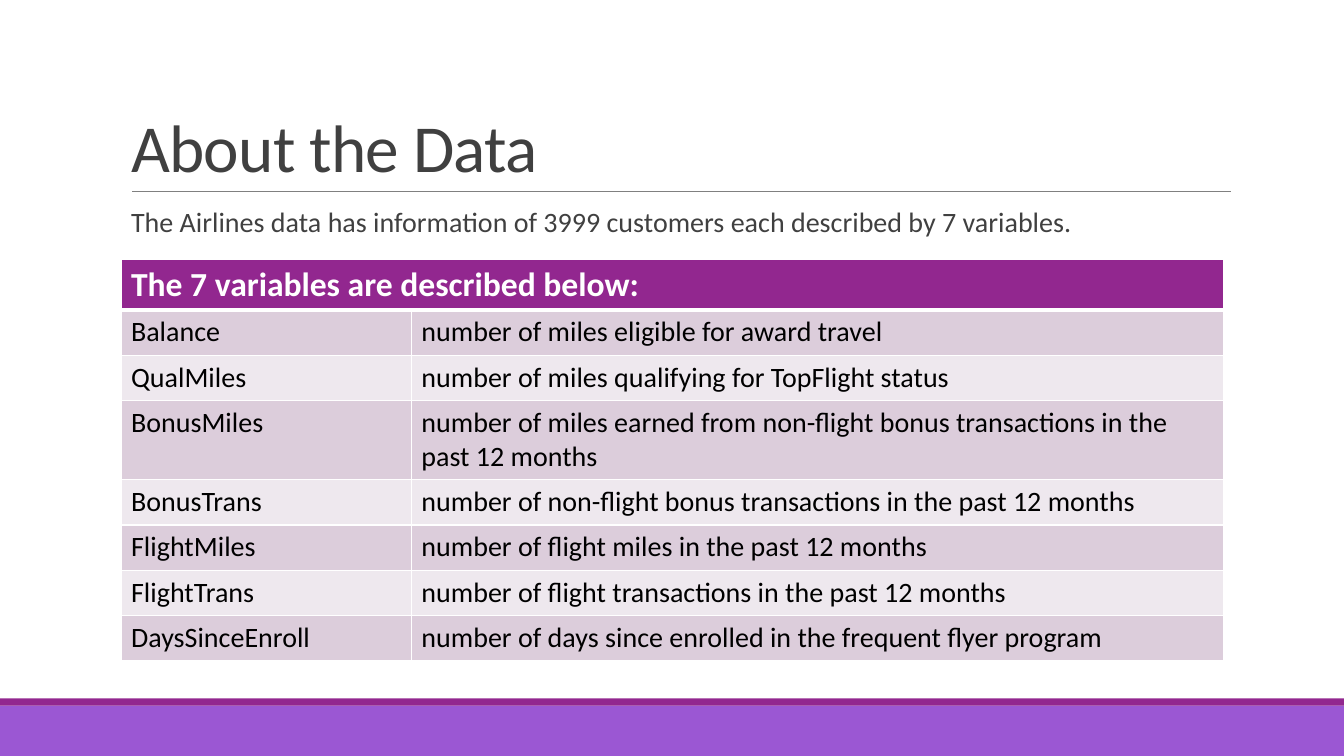
from dataclasses import dataclass

from lxml.etree import SubElement
from pptx import Presentation
from pptx.dml.color import RGBColor
from pptx.enum.shapes import MSO_CONNECTOR as Connector, MSO_SHAPE as Shape
from pptx.enum.text import MSO_ANCHOR as Anchor, MSO_AUTO_SIZE as AutoSize, PP_ALIGN as Align
from pptx.oxml import parse_xml
from pptx.oxml.ns import nsdecls, qn
from pptx.util import Inches, Pt

TITLE = "About the Data"
INTRO = "The Airlines data has information of 3999 customers each described by 7 variables."
HEADING = "The 7 variables are described below:"
VARIABLES = [
    ("Balance", "number of miles eligible for award travel"),
    ("QualMiles", "number of miles qualifying for TopFlight status"),
    ("BonusMiles", "number of miles earned from non-flight bonus transactions in the past 12 months"),
    ("BonusTrans", "number of non-flight bonus transactions in the past 12 months"),
    ("FlightMiles", "number of flight miles in the past 12 months"),
    ("FlightTrans", "number of flight transactions in the past 12 months"),
    ("DaysSinceEnroll", "number of days since enrolled in the frequent flyer program"),
]
TALL_ROW = "BonusMiles"


@dataclass(frozen=True)
class Theme:
    font: str = "Calibri"
    purple: str = "92278F"
    violet: str = "9B57D3"
    ink: str = "404040"
    rule: str = "808080"
    black: str = "000000"
    white: str = "FFFFFF"
    bands: tuple = ("DCCDDB", "EEE8EE")
    title_size: int = 48
    heading_size: int = 24
    body_size: int = 20


theme = Theme()
LEFT, WIDTH = 1.2, 11
PAGE_WIDTH, PAGE_HEIGHT = 13.33, 7.5
COLUMNS = (2.88, 8.06)
TABLE_TOP, ROW, TALL = 2.57, 0.45, 0.78


def style(paragraph, size, color, bold=False):
    for span in paragraph.runs:
        span.font.name = theme.font
        span.font.size = Pt(size)
        span.font.bold = bold
        span.font.color.rgb = RGBColor.from_string(color)


def place(box, left, top, width, height):
    box.left, box.top = Inches(left), Inches(top)
    box.width, box.height = Inches(width), Inches(height)


def add_band(page, top, height, color):
    band = page.shapes.add_shape(
        Shape.RECTANGLE, 0, Inches(top), Inches(PAGE_WIDTH), Inches(height))
    band.shadow.inherit = False
    band.fill.solid()
    band.fill.fore_color.rgb = RGBColor.from_string(color)
    band.line.fill.background()


def add_rule(page):
    rule = page.shapes.add_connector(
        Connector.STRAIGHT, Inches(1.31), Inches(1.9), Inches(12.21), Inches(1.9))
    rule.line.color.rgb = RGBColor.from_string(theme.rule)
    rule.line.width = Pt(0.5)
    SubElement(rule._element.spPr, qn("a:effectLst"))


def fill_title(box):
    place(box, LEFT, 0.31, WIDTH, 1.59)
    frame = box.text_frame
    frame.text = TITLE
    frame.auto_size = AutoSize.NONE
    frame.vertical_anchor = Anchor.BOTTOM
    para = frame.paragraphs[0]
    para.alignment = Align.LEFT
    para.line_spacing = 0.85
    style(para, theme.title_size, theme.ink)
    para.runs[0].font._element.set("spc", "-50")


def fill_intro(box):
    place(box, LEFT, 2.02, WIDTH, 4.4)
    frame = box.text_frame
    frame.text = INTRO
    frame.auto_size = AutoSize.NONE
    frame.margin_left = frame.margin_right = 0
    para = frame.paragraphs[0]
    para.line_spacing = 0.9
    para.space_before, para.space_after = Pt(12), Pt(2)
    style(para, theme.body_size, theme.ink)
    properties = para._p.get_or_add_pPr()
    properties.set("marL", str(Inches(0.1)))
    properties.set("indent", str(Inches(-0.1)))
    bullet_color = SubElement(properties, qn("a:buClr"))
    SubElement(bullet_color, qn("a:srgbClr"), val=theme.purple)
    SubElement(properties, qn("a:buChar"), char=" ")


def fill_cell(cell, text, size, color, fill, top=1, bottom=1, bold=False):
    cell.text = text
    style(cell.text_frame.paragraphs[0], size, color, bold)
    cell.fill.solid()
    cell.fill.fore_color.rgb = RGBColor.from_string(fill)
    edges = {"lnL": 1, "lnR": 1, "lnT": top, "lnB": bottom}
    for index, (edge, width) in enumerate(edges.items()):
        cell._tc.get_or_add_tcPr().insert(index, parse_xml(
            f'<a:{edge} {nsdecls("a")} w="{Pt(width)}"><a:solidFill>'
            f'<a:srgbClr val="{theme.white}"/></a:solidFill></a:{edge}>'))


def add_variables(page):
    heights = [ROW] + [TALL if name == TALL_ROW else ROW for name, _ in VARIABLES]
    table = page.shapes.add_table(
        len(heights), len(COLUMNS), Inches(LEFT), Inches(TABLE_TOP),
        Inches(sum(COLUMNS)), Inches(sum(heights))).table
    for column, width in zip(table.columns, COLUMNS):
        column.width = Inches(width)
    for row, height in zip(table.rows, heights):
        row.height = Inches(height)
    for column, text in enumerate((HEADING, "")):
        fill_cell(table.cell(0, column), text, theme.heading_size, theme.white,
                  theme.purple, bottom=3, bold=True)
    table.cell(0, 0).merge(table.cell(0, 1))
    for row, texts in enumerate(VARIABLES, 1):
        for column, text in enumerate(texts):
            fill_cell(table.cell(row, column), text, theme.body_size, theme.black,
                      theme.bands[(row - 1) % 2], top=3 if row == 1 else 1)


deck = Presentation()
deck.slide_width, deck.slide_height = Inches(PAGE_WIDTH), Inches(PAGE_HEIGHT)
page = deck.slides.add_slide(deck.slide_layouts[1])
add_band(page, 7, 0.5, theme.violet)
add_band(page, 6.93, 0.07, theme.purple)
add_rule(page)
fill_title(page.shapes.title)
fill_intro(page.placeholders[1])
add_variables(page)
deck.save("out.pptx")
